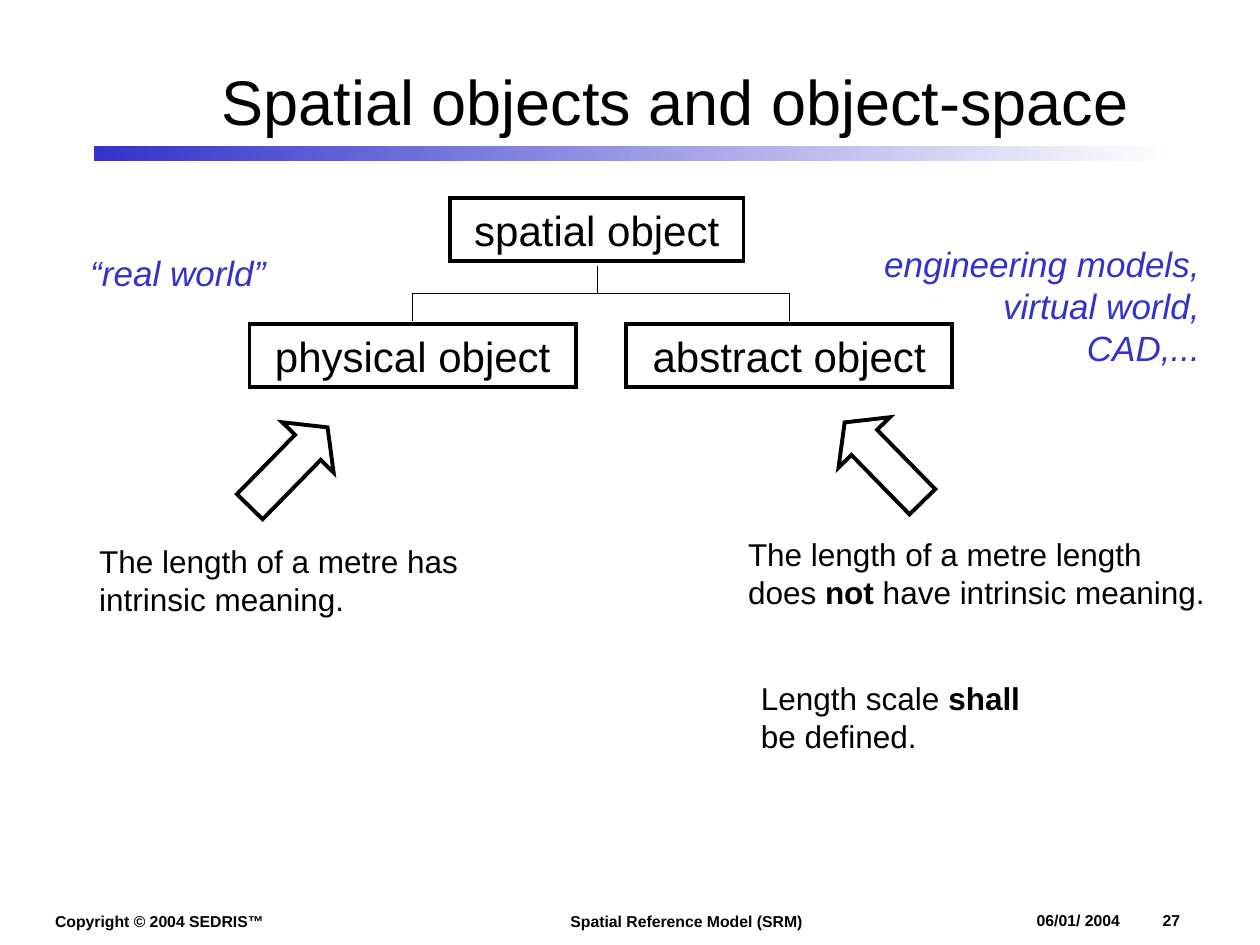
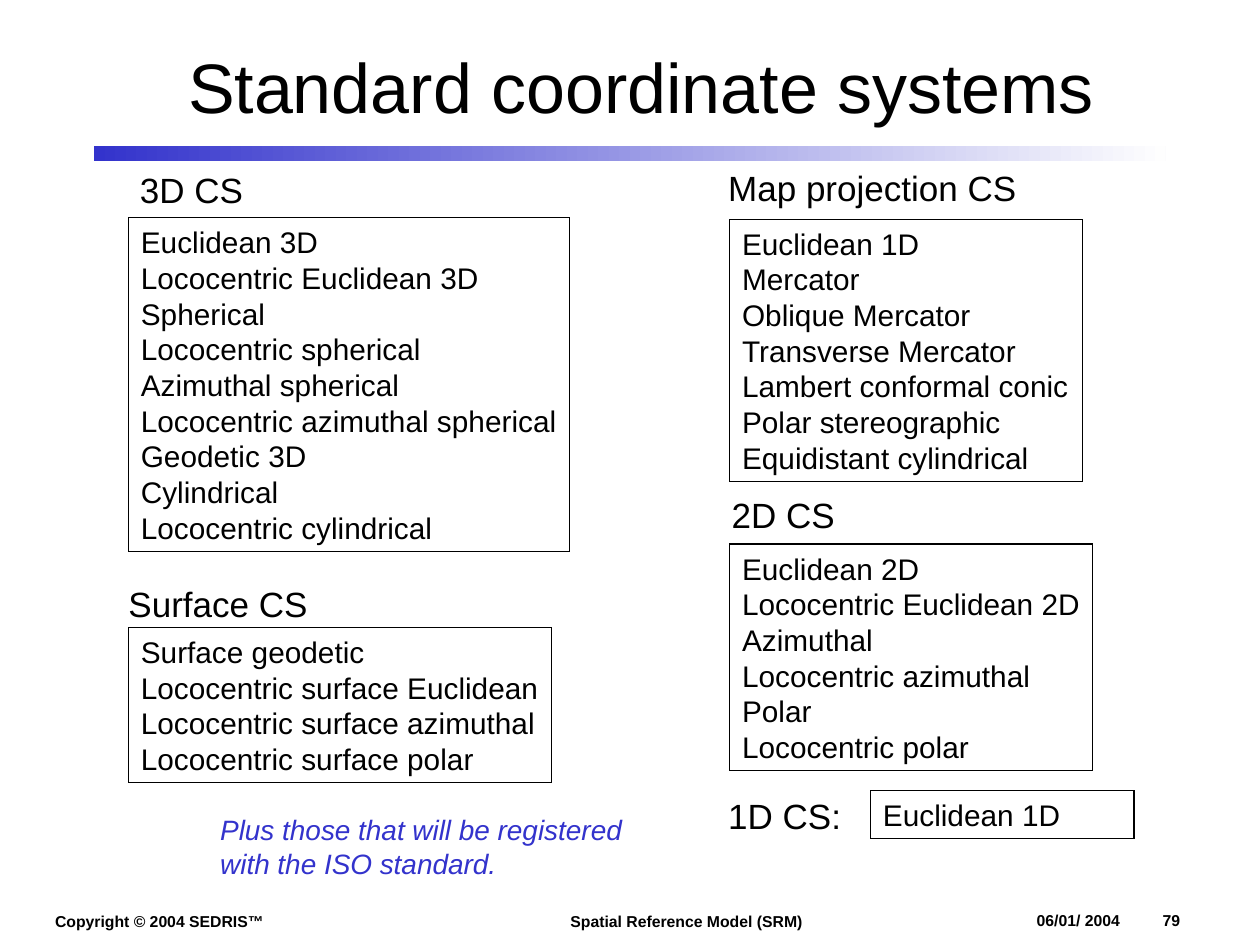
"""Build two slides about spatial objects and standard coordinate systems."""
from dataclasses import dataclass
from typing import NamedTuple

from lxml import etree
from pptx import Presentation
from pptx import util as u
from pptx.dml.color import RGBColor
from pptx.enum import shapes, text
from pptx.oxml.ns import qn


@dataclass(frozen=True)
class Theme:
    font: str = "Arial"
    ink: RGBColor = RGBColor(0, 0, 0)
    accent: RGBColor = RGBColor(0x33, 0x33, 0xCC)
    paper: RGBColor = RGBColor(0xFF, 0xFF, 0xFF)
    fade: RGBColor = RGBColor(0xFE, 0xFE, 0xFE)
    node: int = 24
    heading: int = 20
    body: int = 18
    entry: int = 17
    remark: int = 16
    footer: int = 9
    leading: float = 1.2
    thick: float = 2.25
    thin: float = 0.75


THEME = Theme()
LEFT, CENTER, RIGHT = text.PP_ALIGN.LEFT, text.PP_ALIGN.CENTER, text.PP_ALIGN.RIGHT


class Frame(NamedTuple):
    left: float
    top: float
    width: float
    height: float

    def lengths(self) -> list:
        return [u.Cm(value) for value in self]


class Style(NamedTuple):
    size: int
    color: RGBColor = THEME.ink
    bold: bool = False
    italic: bool = False
    align: text.PP_ALIGN = LEFT


class Label(NamedTuple):
    frame: Frame
    lines: list[str]
    style: Style


class Arrow(NamedTuple):
    preset: shapes.MSO_SHAPE
    frame: Frame
    rotation: float


class Listing(NamedTuple):
    left: float
    top: float
    width: float
    entries: list[str]


FOOTER = Style(THEME.footer, bold=True)
NODE = Style(THEME.node, align=CENTER)
HEADING = Style(THEME.heading)
BODY = Style(THEME.body)
ENTRY = Style(THEME.entry)
REMARK = Style(THEME.remark, THEME.accent, italic=True)
WORLD = Style(THEME.heading, THEME.accent, italic=True)
WORLD_RIGHT = WORLD._replace(align=RIGHT)


def add_spans(para, line: str, style: Style) -> None:
    for index, part in enumerate(line.split("*")):
        if not part:
            continue
        span = para.add_run()
        span.text = part
        span.font.name = THEME.font
        span.font.size = u.Pt(style.size)
        span.font.color.rgb = style.color
        span.font.bold = style.bold or index % 2 == 1
        span.font.italic = style.italic


def write(box, lines: list[str], style: Style, grow: bool = True) -> None:
    frame = box.text_frame
    frame.word_wrap = not grow
    frame.auto_size = text.MSO_AUTO_SIZE.SHAPE_TO_FIT_TEXT if grow else text.MSO_AUTO_SIZE.NONE
    frame.vertical_anchor = text.MSO_ANCHOR.TOP
    for index, line in enumerate(lines):
        para = frame.add_paragraph() if index else frame.paragraphs[0]
        para.alignment = style.align
        para.line_spacing = u.Pt(style.size * THEME.leading)
        add_spans(para, line, style)


def add_label(page, label: Label) -> None:
    box = page.shapes.add_textbox(*label.frame.lengths())
    write(box, label.lines, label.style)


def add_outline(page, preset: shapes.MSO_SHAPE, frame: Frame, weight: float):
    box = page.shapes.add_shape(preset, *frame.lengths())
    box.shadow.inherit = False
    box.fill.background()
    box.line.color.rgb = THEME.ink
    box.line.width = u.Pt(weight)
    etree.SubElement(box._element.spPr.find(qn("a:ln")), qn("a:miter"), lim="800000")
    return box


def add_node(page, frame: Frame, name: str) -> None:
    box = add_outline(page, shapes.MSO_SHAPE.RECTANGLE, frame, THEME.thick)
    write(box, [name], NODE, grow=False)


def add_branch(page, x: float, top: float, end_x: float, bottom: float) -> None:
    side = 1 if end_x > x else -1
    middle_x, middle_y = (x + end_x) / 2, (top + bottom) / 2
    half_drop, half_span = (bottom - top) / 2, abs(end_x - x) / 2
    line = page.shapes.add_connector(
        shapes.MSO_CONNECTOR.ELBOW,
        u.Cm(middle_x + side * half_drop), u.Cm(middle_y - half_span),
        u.Cm(middle_x - side * half_drop), u.Cm(middle_y + half_span))
    line.line.color.rgb = THEME.ink
    line.line.width = u.Pt(THEME.thin)
    properties = line._element.spPr
    properties.find(qn("a:xfrm")).set("rot", str((180 + side * 90) * 60000))
    etree.SubElement(properties, qn("a:effectLst"))


def add_arrow(page, arrow: Arrow) -> None:
    shape = add_outline(page, arrow.preset, arrow.frame, THEME.thick)
    shape.fill.solid()
    shape.fill.fore_color.rgb = THEME.paper
    shape.adjustments[0], shape.adjustments[1] = 0.5, 0.39
    shape.rotation = arrow.rotation


def add_listing(page, listing: Listing) -> None:
    line_height = u.Pt(THEME.entry * THEME.leading).cm
    frame = Frame(listing.left, listing.top, listing.width,
                  0.25 + line_height * len(listing.entries))
    box = add_outline(page, shapes.MSO_SHAPE.RECTANGLE, frame, THEME.thin)
    write(box, listing.entries, ENTRY, grow=len(listing.entries) > 1)


def add_footer(page, number: int) -> None:
    add_label(page, Label(Frame(0.86, 18.26, 5.2, 0.64), ["Copyright © 2004 SEDRIS™"], FOOTER))
    add_label(page, Label(Frame(11.25, 18.26, 5.5, 0.64), ["Spatial Reference Model (SRM)"], FOOTER))
    box = page.shapes.add_textbox(*Frame(20.9, 18.36, 3.66, 0.38).lengths())
    write(box, [f"06/01/ 2004\t{number}"], FOOTER, grow=False)
    frame = box.text_frame
    frame.margin_left = frame.margin_top = frame.margin_right = frame.margin_bottom = 0
    frame.vertical_anchor = text.MSO_ANCHOR.BOTTOM
    tabs = etree.SubElement(frame.paragraphs[0]._p.get_or_add_pPr(), qn("a:tabLst"))
    etree.SubElement(tabs, qn("a:tab"), pos=str(u.Cm(2.54)), algn="l")


def add_band(page) -> None:
    band = page.shapes.add_shape(shapes.MSO_SHAPE.RECTANGLE, *Frame(1.9, 2.95, 21.6, 0.3).lengths())
    band.shadow.inherit = False
    band.line.fill.background()
    band.fill.gradient()
    band.fill.gradient_angle = 0
    for stop, position, color in zip(band.fill.gradient_stops, (0, 1), (THEME.accent, THEME.fade)):
        stop.position = position
        stop.color.rgb = color


def add_page(deck, title: str, frame: Frame, size: int, number: int):
    page = deck.slides.add_slide(deck.slide_layouts[5])
    add_footer(page, number)
    add_band(page)
    heading = page.shapes.title
    heading.left, heading.top, heading.width, heading.height = frame.lengths()
    heading.text_frame.vertical_anchor = text.MSO_ANCHOR.MIDDLE
    heading.text_frame.auto_size = text.MSO_AUTO_SIZE.NONE
    para = heading.text_frame.paragraphs[0]
    para.alignment = CENTER
    add_spans(para, title, Style(size))
    return page


def build_objects(deck) -> None:
    page = add_page(deck, "Spatial objects and object-space", Frame(3.07, 0.64, 21.08, 2.77), 36, 27)
    add_node(page, Frame(9.07, 3.99, 5.92, 1.27), "spatial object")
    for left, name in ((5.03, "physical object"), (12.62, "abstract object")):
        width = 6.58
        add_node(page, Frame(left, 6.53, width, 1.27), name)
        add_branch(page, 12.04, 5.36, left + width / 2, 6.48)
    for arrow in (
        Arrow(shapes.MSO_SHAPE.RIGHT_ARROW, Frame(4.7, 8.69, 2.24, 1.45), 314.4),
        Arrow(shapes.MSO_SHAPE.LEFT_ARROW, Frame(16.69, 8.59, 2.24, 1.45), 45.6),
    ):
        add_arrow(page, arrow)
    for label in (
        Label(Frame(1.75, 10.8, 7.92, 1.78), ["The length of a metre has", "intrinsic meaning."], BODY),
        Label(Frame(14.83, 10.67, 10.2, 1.78),
              ["The length of a metre length", "does *not* have intrinsic meaning."], BODY),
        Label(Frame(15.09, 13.56, 6.07, 1.78), ["Length scale *shall*", "be defined."], BODY),
        Label(Frame(1.57, 4.95, 4.5, 1.12), ["“real world”"], WORLD),
        Label(Frame(16.94, 4.77, 7.5, 2.8),
              ["engineering models,", "virtual world,", "CAD,..."], WORLD_RIGHT),
    ):
        add_label(page, label)


def build_systems(deck) -> None:
    page = add_page(deck, "Standard coordinate systems", Frame(2.11, 0.74, 21.62, 1.96), 40, 79)
    for left, top, width, name in (
        (2.57, 3.28, 3, "3D CS"),
        (2.34, 11.61, 4.6, "Surface CS"),
        (14.43, 3.23, 6.8, "Map projection CS"),
        (14.5, 9.83, 3, "2D CS"),
        (14.43, 15.9, 3.1, "1D CS:"),
    ):
        add_label(page, Label(Frame(left, top, width, 1.12), [name], HEADING))
    for listing in (
        Listing(2.59, 4.39, 8.89, [
            "Euclidean 3D", "Lococentric Euclidean 3D", "Spherical", "Lococentric spherical",
            "Azimuthal spherical", "Lococentric azimuthal spherical", "Geodetic 3D",
            "Cylindrical", "Lococentric cylindrical"]),
        Listing(2.59, 12.65, 8.53, [
            "Surface geodetic", "Lococentric surface Euclidean",
            "Lococentric surface azimuthal", "Lococentric surface polar"]),
        Listing(14.71, 4.42, 7.11, [
            "Euclidean 1D", "Mercator", "Oblique Mercator", "Transverse Mercator",
            "Lambert conformal conic", "Polar stereographic", "Equidistant cylindrical"]),
        Listing(14.71, 10.97, 7.32, [
            "Euclidean 2D", "Lococentric Euclidean 2D", "Azimuthal",
            "Lococentric azimuthal", "Polar", "Lococentric polar"]),
        Listing(17.55, 15.93, 5.31, ["Euclidean 1D"]),
    ):
        add_listing(page, listing)
    add_label(page, Label(Frame(4.19, 16.26, 9.2, 1.63),
                          ["Plus those that will be registered", "with the ISO standard."], REMARK))


def main() -> None:
    deck = Presentation()
    deck.slide_width, deck.slide_height = u.Cm(25.4), u.Cm(19.05)
    build_objects(deck)
    build_systems(deck)
    deck.save("out.pptx")


if __name__ == "__main__":
    main()
